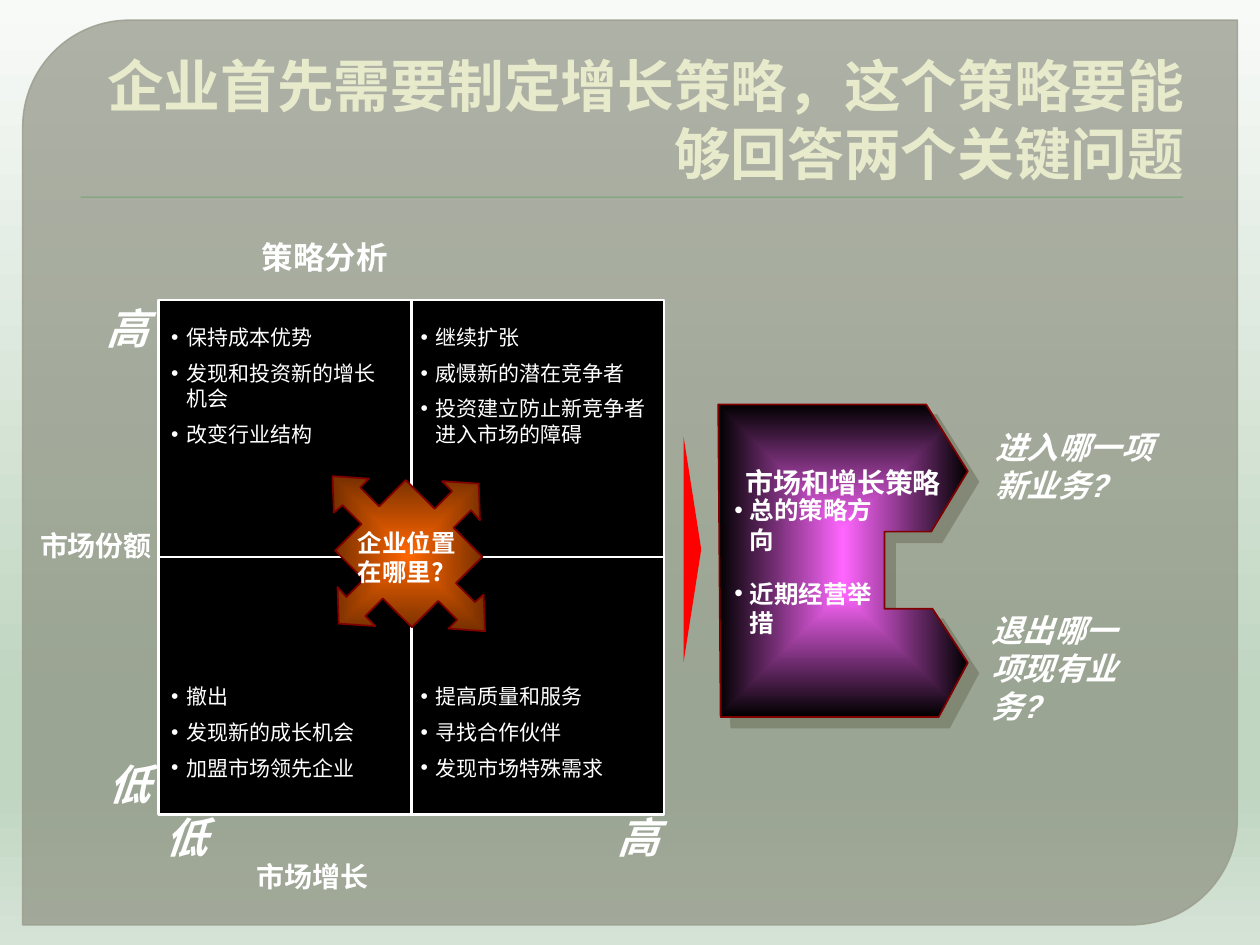
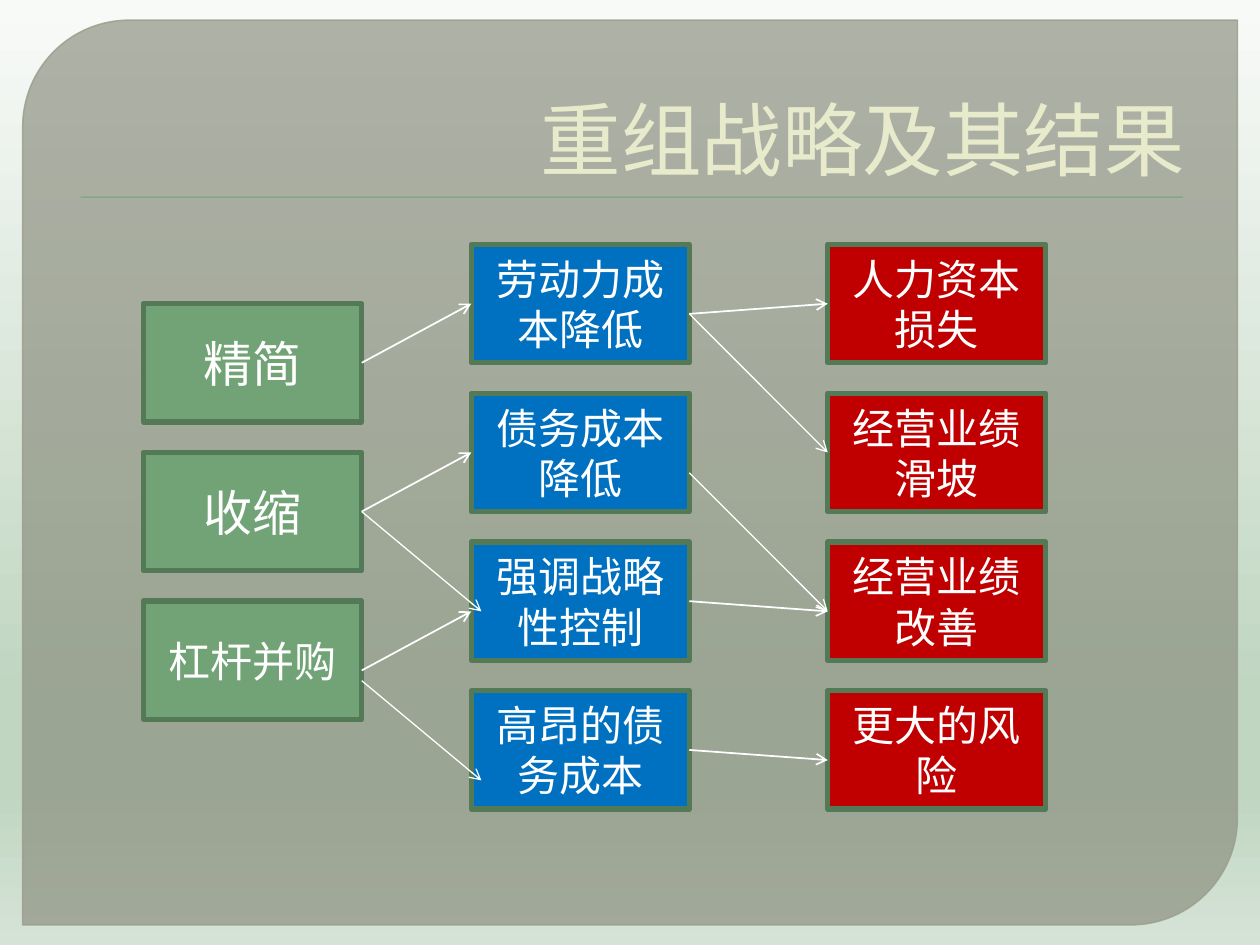
from dataclasses import dataclass
from typing import NamedTuple

from lxml import etree
from pptx import Presentation
from pptx.dml.color import RGBColor
from pptx.enum import shapes, text
from pptx.oxml import ns
from pptx.util import Pt

COLORS = {
    "white": "FFFFFF", "black": "000000", "title": "E7EACB", "panel": "888B7B",
    "panel_edge": "9DA090", "green": "72A376", "green_edge": "547957",
    "blue": "0070C0", "crimson": "C00000", "red": "FF0000", "maroon": "800000",
    "pink": "FF66FF", "orange": "FF6600", "brown": "762F00", "shade": "676A55",
    "sky_top": "F8FAF8", "sky_low": "C0D6C1", "sky_base": "D5E3D6",
}
SERIF, SANS = "Roboto Slab", "Noto Sans CJK SC"
LINE_HEIGHT = 1.2
FROM_CENTRE = {"path": "rect"}
DOWNWARD = {"ang": "5400000", "scaled": "0"}


@dataclass(frozen=True)
class Style:
    size: float
    bold: bool = False
    italic: bool = False
    font: str = SANS
    color: str = "white"
    align: text.PP_ALIGN = text.PP_ALIGN.LEFT


class Frame(NamedTuple):
    left: float
    top: float
    width: float
    height: float

    def points(self) -> list:
        return [Pt(value) for value in self]


class Label(NamedTuple):
    words: str
    frame: Frame
    style: Style
    wrap: bool = True


class Quadrant(NamedTuple):
    column: int
    row: int
    advice: list


class Stage(NamedTuple):
    left: float
    top: float
    fill: str
    names: list


class Link(NamedTuple):
    """Arrow between (stage, row) cells; drops and inset count NUDGE steps."""
    source: tuple
    target: tuple
    start_drop: int = 0
    end_drop: int = 0
    inset: int = 0
    weight: float = 1


AXIS = Style(16, bold=True)
EXTREME = Style(24, bold=True, italic=True)
QUESTION = Style(18, bold=True, italic=True, font=SERIF)

CELL_WIDTH, CELL_HEIGHT = 144.4, 147
MATRIX_LEFT, MATRIX_TOP = 90.7, 171.4
ADVICE_COLUMNS = [(90.7, 140.4), (233.3, 146.9)]
ADVICE_ROWS = [(180.7, 79.2), (385.9, 64.8)]
QUADRANTS = [
    Quadrant(0, 0, ["保持成本优势", "发现和投资新的增长机会", "改变行业结构"]),
    Quadrant(1, 0, ["继续扩张", "威慑新的潜在竞争者", "投资建立防止新竞争者进入市场的障碍"]),
    Quadrant(0, 1, ["撤出", "发现新的成长机会", "加盟市场领先企业"]),
    Quadrant(1, 1, ["提高质量和服务", "寻找合作伙伴", "发现市场特殊需求"]),
]
LABELS = [
    Label("策略分析", Frame(142.6, 132.5, 187.2, 28.8), Style(18, bold=True)),
    Label("市场增长", Frame(139.7, 487.4, 187.2, 26.6), AXIS),
    Label("市场份额", Frame(15.8, 298.1, 80.6, 26.6), AXIS, False),
    Label("高", Frame(54, 169.2, 38.9, 36), EXTREME, False),
    Label("低", Frame(54.7, 429.8, 38.9, 36), EXTREME, False),
    Label("低", Frame(87.8, 460.1, 38.9, 36), EXTREME, False),
    Label("高", Frame(345.6, 460.1, 38.9, 36), EXTREME, False),
    Label("企业位置在哪里?", Frame(197.3, 298.1, 74.9, 41), Style(14, bold=True)),
    Label("进入哪一项新业务?", Frame(561.6, 241.2, 108, 50.4), QUESTION),
    Label("退出哪一项现有业务?", Frame(559.4, 345.6, 101.5, 72), QUESTION),
    Label("市场和增长策略", Frame(419, 262.1, 128, 26.6), AXIS, False),
]
STRATEGY_ARROWS = [
    (410.4, 231.1), (529.2, 231.1), (553, 269.3), (532.1, 303.8), (505.4, 303.8),
    (505.4, 347.8), (532.8, 347.8), (553, 378.7), (536.4, 409.7), (411.8, 409.7),
]
CROSS_CENTRE = (233.6, 316.4)
CROSS_HALF = [
    (-42.1, -1.8), (-27, -16.9), (-37.8, -27.7), (-42.8, -23.4), (-43.6, -44.3),
    (-22.7, -42.8), (-27.7, -37.8), (-16.9, -27), (-1.8, -42.1), (14.8, -25.6),
    (24.8, -35.6), (19.1, -41.4), (40, -40), (40.7, -19.1), (35.6, -24.8), (25.6, -14.8),
]

STAGE_WIDTH, STAGE_HEIGHT, STAGE_PITCH, NUDGE = 124.6, 67.7, 85, 5.8
STAGES = [
    Stage(82.1, 173.5, "green", ["精简", "收缩", "杠杆并购"]),
    Stage(269.3, 139.7, "blue",
          ["劳动力成本降低", "债务成本降低", "强调战略性控制", "高昂的债务成本"]),
    Stage(473, 139.7, "crimson",
          ["人力资本损失", "经营业绩滑坡", "经营业绩改善", "更大的风险"]),
]
LINKS = [
    Link((0, 0), (1, 0)),
    Link((0, 1), (1, 1)),
    Link((0, 2), (1, 2), 1, 1),
    Link((0, 1), (1, 2), 0, 1, 1, 0.75),
    Link((0, 2), (1, 3), 2, 3, 1, 0.75),
    Link((1, 0), (2, 0), 1),
    Link((1, 0), (2, 1), 1, weight=0.75),
    Link((1, 2), (2, 2), 0, 1),
    Link((1, 1), (2, 2), 2, 1, weight=0.75),
    Link((1, 3), (2, 3), 0, 1),
]


def rgb(name: str) -> RGBColor:
    return RGBColor.from_string(COLORS[name])


def add_xml(parent, tag: str, **attributes):
    return etree.SubElement(parent, ns.qn(tag), attributes)


def add_color(parent, name: str, opacity: int = 100) -> None:
    color = add_xml(parent, "a:srgbClr", val=COLORS[name])
    if opacity < 100:
        add_xml(color, "a:alpha", val=str(opacity * 1000))


def make_translucent(solid_fill, opacity: int) -> None:
    add_xml(solid_fill[0], "a:alpha", val=str(opacity * 1000))


def fill_gradient(fill, holder, stops: list, shading: dict) -> None:
    """Give holder, the XML parent of fill, a many-stop gradient."""
    fill.solid()
    solid = holder.find(ns.qn("a:solidFill"))
    gradient = etree.Element(ns.qn("a:gradFill"), rotWithShape="1")
    stop_list = add_xml(gradient, "a:gsLst")
    for position, name in stops:
        add_color(add_xml(stop_list, "a:gs", pos=str(position * 1000)), name)
    if "path" in shading:
        centre = add_xml(gradient, "a:path", **shading)
        add_xml(centre, "a:fillToRect", **dict.fromkeys("ltrb", "50000"))
    else:
        add_xml(gradient, "a:lin", **shading)
    holder.replace(solid, gradient)


def outline(shape, color: str, weight: float) -> None:
    shape.line.color.rgb = rgb(color)
    shape.line.width = Pt(weight)


def add_preset(page, preset, frame: Frame, fill: str):
    shape = page.shapes.add_shape(preset, *frame.points())
    shape.shadow.inherit = False
    shape.fill.solid()
    shape.fill.fore_color.rgb = rgb(fill)
    shape.line.fill.background()
    return shape


def add_outline_shape(page, corners: list, inner: str, outer: str):
    pen = page.shapes.build_freeform(*(Pt(value) for value in corners[0]))
    pen.add_line_segments([(Pt(x), Pt(y)) for x, y in corners[1:]], close=True)
    shape = pen.convert_to_shape()
    shape.shadow.inherit = False
    fill_gradient(shape.fill, shape.element.spPr, [(0, inner), (100, outer)], FROM_CENTRE)
    outline(shape, "maroon", 1)
    return shape


def cast_shadow(shape, color: str, opacity: int, blur: float, distance: float, angle: int) -> None:
    effects = shape.element.spPr.find(ns.qn("a:effectLst"))
    shadow = add_xml(effects, "a:outerShdw", blurRad=str(Pt(blur)), dist=str(Pt(distance)),
                     dir=str(angle * 60000), algn="ctr", rotWithShape="0")
    add_color(shadow, color, opacity)


def format_paragraph(para, style: Style) -> None:
    para.alignment = style.align
    para.line_spacing = Pt(round(style.size * LINE_HEIGHT, 1))
    font = para.font
    font.size, font.bold, font.italic = Pt(style.size), style.bold, style.italic
    font.color.rgb = rgb(style.color)
    font.name = style.font
    defaults = next(para._p.iter(ns.qn("a:defRPr")))
    add_xml(defaults, "a:ea", typeface=SANS)


def write(box, words: str, style: Style, wrap: bool = True) -> None:
    frame = box.text_frame
    frame.word_wrap = wrap
    frame.vertical_anchor = text.MSO_ANCHOR.MIDDLE
    frame.text = words
    format_paragraph(frame.paragraphs[0], style)


def add_bullets(page, frame: Frame, items: list, style: Style, gap: float) -> None:
    box = page.shapes.add_textbox(*frame.points())
    box.text_frame.word_wrap = True
    box.text_frame.vertical_anchor = text.MSO_ANCHOR.MIDDLE
    box.text_frame.text = "\n".join(items)
    for index, para in enumerate(box.text_frame.paragraphs):
        para.space_before = Pt(gap if index else 0)
        properties = para._p.get_or_add_pPr()
        properties.set("marL", str(Pt(8.64)))
        properties.set("indent", str(Pt(-8.64)))
        add_xml(properties, "a:buFont", typeface="Arial")
        add_xml(properties, "a:buChar", char="•")
        format_paragraph(para, style)


def set_title(page, parts: list, style: Style) -> None:
    """Write parts of (words, font) as one right-aligned title."""
    title = page.shapes.title
    title.left, title.top, title.width, title.height = Frame(36, 20.2, 648, 90).points()
    frame = title.text_frame
    frame.auto_size = text.MSO_AUTO_SIZE.NONE
    frame.vertical_anchor = text.MSO_ANCHOR.BOTTOM
    para = frame.paragraphs[0]
    for words, font in parts:
        span = para.add_run()
        span.text = words
        if font != style.font:
            span.font.name = font
    format_paragraph(para, style)


def dress_master(deck, page) -> None:
    """Draw the shared panel and rule on page, then move them to the master."""
    master = deck.slide_master
    background = master.background.fill
    background.solid()
    holder = master.element.xpath("p:cSld/p:bg/p:bgPr")[0]
    stops = [(0, "sky_top"), (74, "sky_low"), (83, "sky_low"), (100, "sky_base")]
    fill_gradient(background, holder, stops, DOWNWARD)
    panel = add_preset(page, shapes.MSO_SHAPE.ROUND_2_DIAG_RECTANGLE,
                       Frame(13, 11.5, 694.1, 517), "panel")
    panel.adjustments[0] = 0.118
    outline(panel, "panel_edge", 0.87)
    properties = panel.element.spPr
    make_translucent(properties.find(ns.qn("a:solidFill")), 65)
    make_translucent(properties.find(ns.qn("a:ln")).find(ns.qn("a:solidFill")), 88)
    rule = add_preset(page, shapes.MSO_SHAPE.RECTANGLE, Frame(46.1, 112.3, 630, 0.72), "green")
    cast_shadow(rule, "black", 75, 1, 1, 90)
    tree = master.element.cSld.spTree
    for position, shape in enumerate((panel, rule), start=2):
        tree.insert(position, shape.element)


def build_growth_strategy(page) -> None:
    arrows = add_outline_shape(page, STRATEGY_ARROWS, "pink", "black")
    cast_shadow(arrows, "shade", 50, 0, 8.5, 45)
    set_title(page, [("企业首先", SERIF), ("需要制定增长策略，这个策略要能够回答两个关键问题", SANS)],
              Style(32.4, True, font=SERIF, color="title", align=text.PP_ALIGN.RIGHT))
    for column, row, _ in QUADRANTS:
        frame = Frame(MATRIX_LEFT + column * CELL_WIDTH, MATRIX_TOP + row * CELL_HEIGHT,
                      CELL_WIDTH, CELL_HEIGHT)
        outline(add_preset(page, shapes.MSO_SHAPE.RECTANGLE, frame, "black"), "white", 1.5)
    for column, row, advice in QUADRANTS:
        (left, width), (top, height) = ADVICE_COLUMNS[column], ADVICE_ROWS[row]
        add_bullets(page, Frame(left, top, width, height), advice, Style(12), 6)
    pointer = add_preset(page, shapes.MSO_SHAPE.ISOSCELES_TRIANGLE,
                         Frame(331.2, 308.9, 128.9, 10.1), "red")
    pointer.rotation = 90
    add_bullets(page, Frame(412.6, 279.4, 103.7, 88.4), ["总的策略方向", "近期经营举措"],
                Style(14, bold=True), 14)
    middle_x, middle_y = CROSS_CENTRE
    cross = [(middle_x + side * x, middle_y + side * y) for side in (1, -1) for x, y in CROSS_HALF]
    add_outline_shape(page, cross, "orange", "brown")
    for label in LABELS:
        box = page.shapes.add_textbox(*label.frame.points())
        write(box, label.words, label.style, label.wrap)


def add_link(page, link: Link, boxes: dict) -> None:
    source, target = boxes[link.source], boxes[link.target]
    arrow = page.shapes.add_connector(
        shapes.MSO_CONNECTOR.STRAIGHT,
        source.left + source.width, source.top + source.height // 2 + Pt(link.start_drop * NUDGE),
        target.left + Pt(link.inset * NUDGE),
        target.top + target.height // 2 + Pt(link.end_drop * NUDGE))
    if not link.start_drop:
        arrow.begin_connect(source, 3)
    if not (link.end_drop or link.inset):
        arrow.end_connect(target, 1)
    outline(arrow, "white", link.weight)
    add_xml(arrow.line._get_or_add_ln(), "a:tailEnd", type="arrow")
    add_xml(arrow.element.spPr, "a:effectLst")


def build_restructuring(page) -> None:
    set_title(page, [("重组战略及其结果", SERIF)],
              Style(46, font=SERIF, color="title", align=text.PP_ALIGN.RIGHT))
    boxes = {}
    for column, stage in enumerate(STAGES):
        for row, name in enumerate(stage.names):
            frame = Frame(stage.left, stage.top + row * STAGE_PITCH, STAGE_WIDTH, STAGE_HEIGHT)
            box = add_preset(page, shapes.MSO_SHAPE.RECTANGLE, frame, stage.fill)
            outline(box, "green_edge", 3)
            size = 28 if len(name) == 2 else 24
            write(box, name, Style(size, font=SERIF, align=text.PP_ALIGN.CENTER))
            boxes[column, row] = box
    for link in LINKS:
        add_link(page, link, boxes)


def main() -> None:
    deck = Presentation()
    deck.slide_width, deck.slide_height = Pt(720), Pt(540)
    title_only = deck.slide_layouts[5]
    growth, restructuring = (deck.slides.add_slide(title_only) for _ in range(2))
    dress_master(deck, growth)
    build_growth_strategy(growth)
    build_restructuring(restructuring)
    deck.save("out.pptx")


if __name__ == "__main__":
    main()
